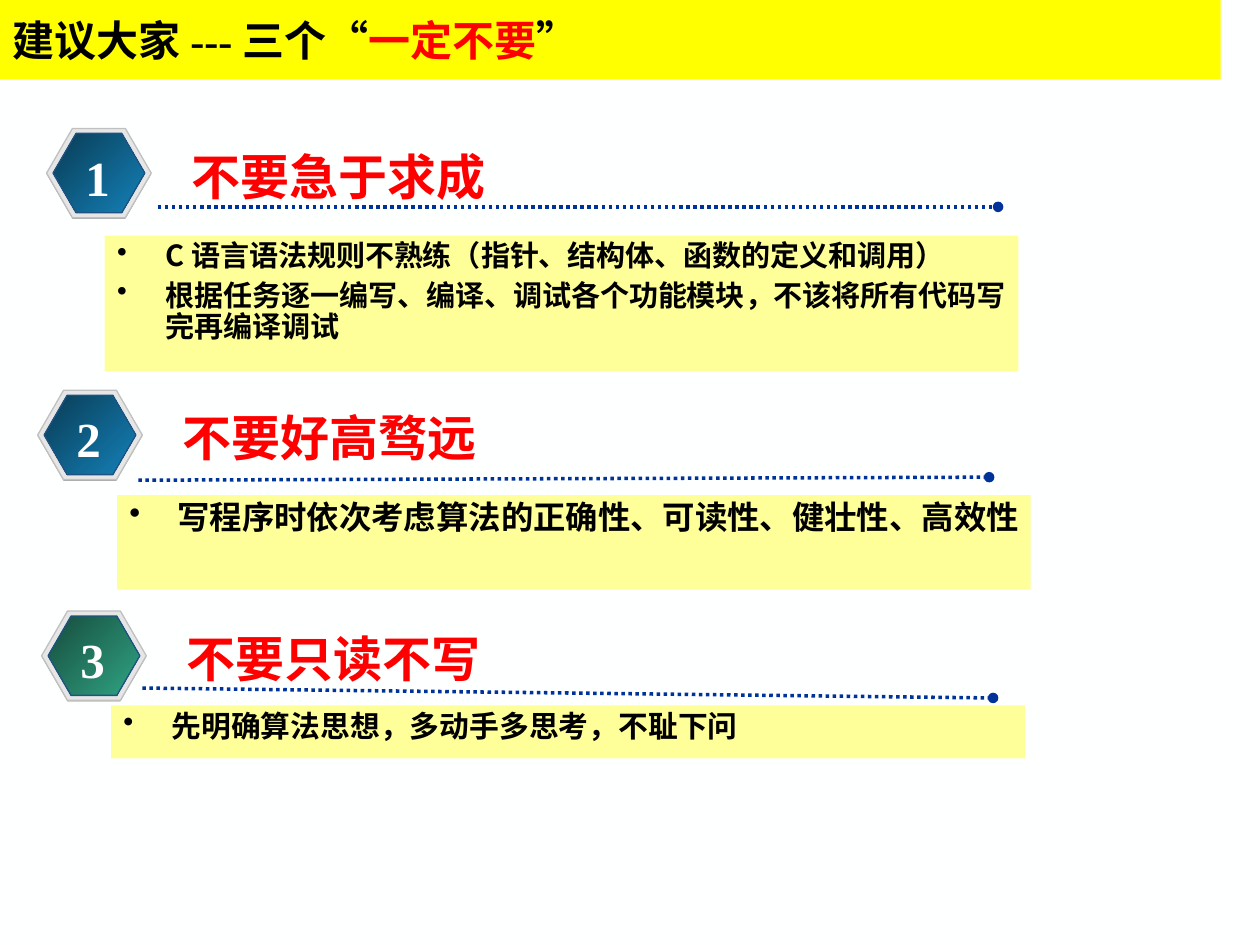
import pptx
import pptx.dml.color
import pptx.enum.dml
import pptx.enum.shapes
import pptx.enum.text
import pptx.oxml.ns
import pptx.util
from lxml import etree

Cm, Pt = pptx.util.Cm, pptx.util.Pt
RGBColor = pptx.dml.color.RGBColor
MSO_SHAPE = pptx.enum.shapes.MSO_SHAPE
PP_ALIGN = pptx.enum.text.PP_ALIGN
MSO_ANCHOR = pptx.enum.text.MSO_ANCHOR
qn = pptx.oxml.ns.qn

BACKGROUND = RGBColor(0xFE, 0xFF, 0xFF)
WHITE = RGBColor(0xFF, 0xFF, 0xFF)
BLACK = RGBColor(0, 0, 0)
RED = RGBColor(0xFF, 0, 0)
YELLOW = RGBColor(0xFF, 0xFF, 0)
PALE_YELLOW = RGBColor(0xFF, 0xFF, 0x99)
GREY = RGBColor(0x80, 0x80, 0x80)
LIGHT_GREY = RGBColor(0xE6, 0xE6, 0xE6)
SILVER = RGBColor(0xC0, 0xC0, 0xC0)
NAVY = RGBColor(0, 0x33, 0x99)
RIM_BLUE = RGBColor(0x1F, 0x52, 0x81)
BLUES = (RGBColor(0x09, 0x3C, 0x55), RGBColor(0x14, 0x81, 0xB8))
GREENS = (RGBColor(0x16, 0x4C, 0x3D), RGBColor(0x30, 0xA4, 0x83))

SERIF = "Times New Roman"
SANS = "Noto Sans CJK SC"


def write_text(paragraph, text, font=SERIF, size=28, color=BLACK, align=PP_ALIGN.LEFT):
    """Add one bold run to a paragraph."""
    paragraph.alignment = align
    run = paragraph.add_run()
    run.text = text
    run.font.name = font
    run.font.size = Pt(size)
    run.font.bold = True
    run.font.color.rgb = color
    etree.SubElement(run._r.get_or_add_rPr(), qn("a:ea"), typeface=SANS)


class SlideBuilder:
    """Holds the slide and its common style."""

    panel_width = 18.42
    indent = 0.97

    def __init__(self, slide):
        self.slide = slide
        slide.background.fill.solid()
        slide.background.fill.fore_color.rgb = BACKGROUND

    def shape(self, kind, left, top, width, height, fill, line=None):
        shape = self.slide.shapes.add_shape(kind, Cm(left), Cm(top), Cm(width), Cm(height))
        shape.shadow.inherit = False
        if isinstance(fill, RGBColor):
            shape.fill.solid()
            shape.fill.fore_color.rgb = fill
        else:
            shape.fill.gradient()
            shape.fill.gradient_angle = 315
            for stop, color in zip(shape.fill.gradient_stops, fill):
                stop.color.rgb = color
        if line is None:
            shape.line.fill.background()
        else:
            shape.line.color.rgb = line
            shape.line.width = Pt(0.75)
        return shape

    def text(self, left, top, width, height, text, wrap=True, **style):
        box = self.slide.shapes.add_textbox(Cm(left), Cm(top), Cm(width), Cm(height))
        box.text_frame.word_wrap = wrap
        write_text(box.text_frame.paragraphs[0], text, **style)

    def badge(self, left, top, number, colors):
        layers = (
            (0, 0.02, 2.11, 1.8, GREY, None),
            (0, 0, 2.11, 1.8, LIGHT_GREY, SILVER),
            (0.13, 0.1, 1.85, 1.6, colors, RIM_BLUE),
        )
        for dx, dy, width, height, fill, line in layers:
            hexagon = self.shape(MSO_SHAPE.HEXAGON, left + dx, top + dy, width, height, fill, line)
            hexagon.adjustments[0] = 0.29
        self.text(left + 0.53, top + 0.25, 0.99, 1.45, number, wrap=False,
                  color=WHITE, align=PP_ALIGN.CENTER)

    def dotted_line(self, start, end):
        connector = self.slide.shapes.add_connector(
            pptx.enum.shapes.MSO_CONNECTOR.STRAIGHT, *map(Cm, start + end))
        connector.line.color.rgb = NAVY
        connector.line.width = Pt(2)
        connector.line.dash_style = pptx.enum.dml.MSO_LINE.ROUND_DOT
        properties = connector._element.spPr
        etree.SubElement(properties.get_or_add_ln(), qn("a:tailEnd"), type="oval")
        etree.SubElement(properties, qn("a:effectLst"))

    def panel(self, left, top, height, size, items):
        shape = self.shape(MSO_SHAPE.RECTANGLE, left, top, self.panel_width, height, PALE_YELLOW)
        frame = shape.text_frame
        frame.word_wrap = True
        frame.vertical_anchor = MSO_ANCHOR.TOP
        for index, item in enumerate(items):
            paragraph = frame.add_paragraph() if index else frame.paragraphs[0]
            properties = paragraph._p.get_or_add_pPr()
            properties.set("marL", str(Cm(self.indent)))
            properties.set("indent", str(-Cm(self.indent)))
            bullet_color = etree.SubElement(properties, qn("a:buClr"))
            etree.SubElement(bullet_color, qn("a:srgbClr"), val=str(BLACK))
            etree.SubElement(properties, qn("a:buChar"), char="•")
            paragraph.line_spacing = 0.9
            paragraph.space_before = Pt(4.5 if index else 0)
            write_text(paragraph, item, font=SANS, size=size)

    def title_bar(self, parts):
        bar = self.shape(MSO_SHAPE.RECTANGLE, 0, 0, 24.61, 1.6, YELLOW)
        bar.text_frame.word_wrap = True
        bar.text_frame.vertical_anchor = MSO_ANCHOR.MIDDLE
        for text, color in parts:
            write_text(bar.text_frame.paragraphs[0], text, size=24, color=color)


# Badge corner, colours, heading, line ends, panel (left, top, height, size), bullets
SECTIONS = (
    ((0.94, 2.59), BLUES, "不要急于求成", (3.18, 4.17), (20.12, 4.17),
     (2.11, 4.75, 2.74, 16.6),
     ("C语言语法规则不熟练（指针、结构体、函数的定义和调用）",
      "根据任务逐一编写、编译、调试各个功能模块，不该将所有代码写完再编译调试")),
    ((0.76, 7.87), BLUES, "不要好高骛远", (2.79, 9.68), (19.94, 9.62),
     (2.36, 9.98, 1.91, 18.5),
     ("写程序时依次考虑算法的正确性、可读性、健壮性、高效性",)),
    ((0.84, 12.32), GREENS, "不要只读不写", (2.87, 13.87), (20.02, 14.07),
     (2.24, 14.22, 1.07, 17),
     ("先明确算法思想，多动手多思考，不耻下问",)),
)


def main():
    presentation = pptx.Presentation()
    presentation.slide_width = Cm(25.4)
    presentation.slide_height = Cm(19.05)
    builder = SlideBuilder(presentation.slides.add_slide(presentation.slide_layouts[6]))

    # Three numbered sections
    for number, section in enumerate(SECTIONS, start=1):
        (left, top), colors, heading, start, end, panel, items = section
        builder.badge(left, top, str(number), colors)
        builder.dotted_line(start, end)
        builder.text(left + 2.67, top + 0.23, 16.23, 1.45, heading, color=RED)
        builder.panel(*panel, items)

    # Title
    builder.title_bar((("建议大家---三个“", BLACK), ("一定不要", RED), ("”", BLACK)))

    presentation.save("out.pptx")


if __name__ == "__main__":
    main()
